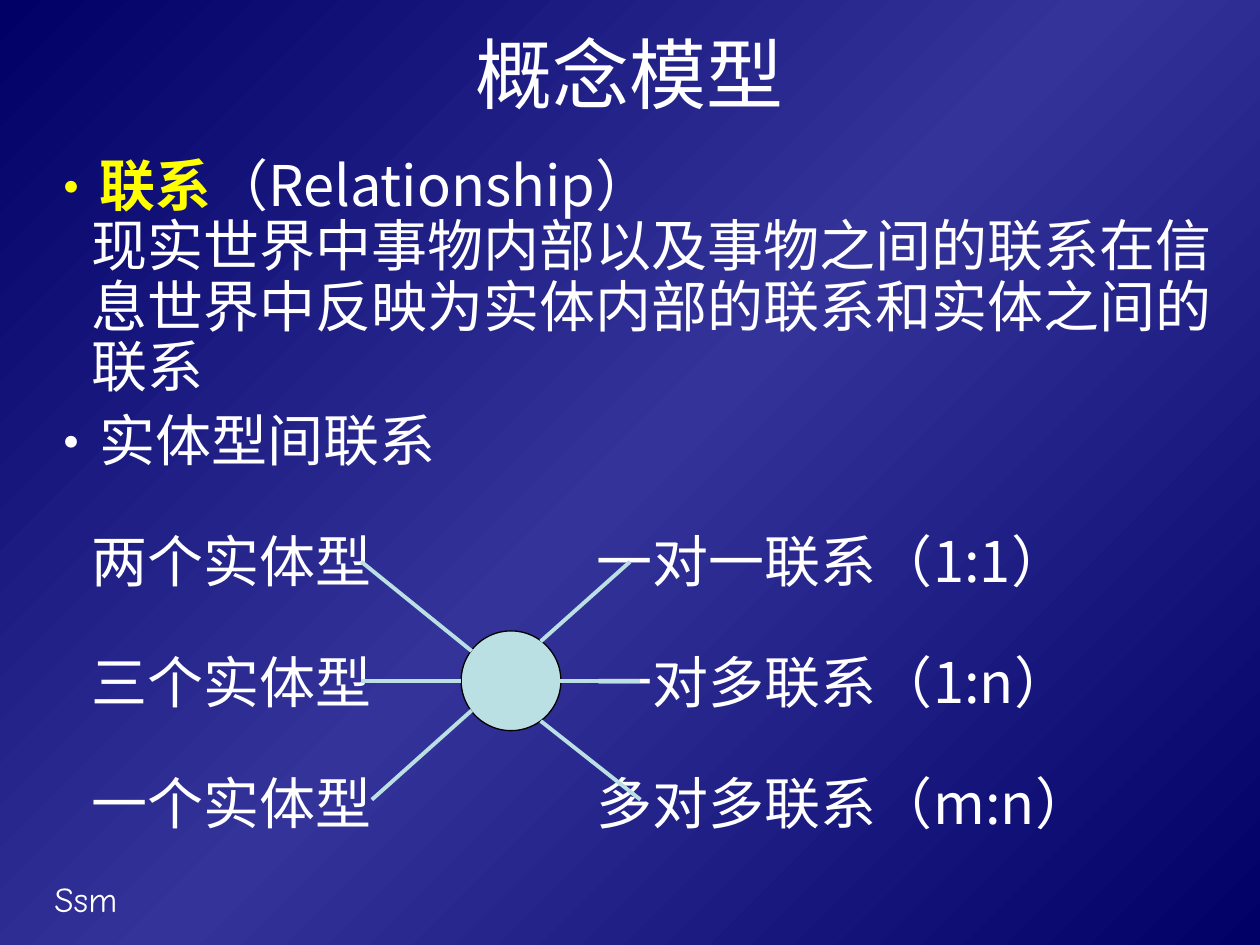
from copy import deepcopy
from lxml import etree
from pptx import Presentation
from pptx import util as u
from pptx.dml.color import RGBColor
from pptx.enum import shapes, text
from pptx.oxml import ns

Pt = u.Pt
NAVY = RGBColor(0x00, 0x00, 0x66)
INDIGO = RGBColor(0x33, 0x33, 0x99)
WHITE = RGBColor(0xFF, 0xFF, 0xFF)
YELLOW = RGBColor(0xFF, 0xFF, 0x00)
BLACK = RGBColor(0x00, 0x00, 0x00)
PALE_BLUE = RGBColor(0xBB, 0xE0, 0xE3)
SANS = "Noto Sans CJK SC"
LINE_HEIGHT = 34.6


def add_box(left, top, width, height):
    frame = slide.shapes.add_textbox(Pt(left), Pt(top), Pt(width), Pt(height)).text_frame
    frame.word_wrap = True
    return frame


def add_run(paragraph, content, size=32, color=WHITE, bold=False, font=SANS):
    run = paragraph.add_run()
    run.text = content
    run.font.size = Pt(size)
    run.font.bold = bold
    run.font.name = font
    run.font.color.rgb = color
    east_asian = etree.SubElement(run.font._element, ns.qn("a:ea"))
    east_asian.set("typeface", font)


presentation = Presentation()
presentation.slide_width = Pt(720)
presentation.slide_height = Pt(540)
slide = presentation.slides.add_slide(presentation.slide_layouts[6])

background = slide.background.fill
background.gradient()
background.gradient_angle = 315
stop_list = slide._element.find(".//" + ns.qn("a:gsLst"))
stop_list.insert(1, deepcopy(stop_list[0]))
for stop, position, color in zip(background.gradient_stops, (0, 0.5, 1), (NAVY, INDIGO, NAVY)):
    stop.position = position
    stop.color.rgb = color

footer = add_box(24, 498, 150, 32)
add_run(footer.paragraphs[0], "Ssm", size=20, font="Comic Neue")

title = add_box(36, 10, 648, 63)
title.vertical_anchor = text.MSO_ANCHOR.MIDDLE
title.paragraphs[0].alignment = text.PP_ALIGN.CENTER
add_run(title.paragraphs[0], "概念模型", size=44)

body = add_box(18, 86, 690, 190)
definition = body.paragraphs[0]
kinds = body.add_paragraph()
kinds.space_before = Pt(7.5)
for paragraph, color in ((definition, YELLOW), (kinds, WHITE)):
    paragraph.line_spacing = Pt(LINE_HEIGHT)
    properties = paragraph._p.get_or_add_pPr()
    properties.set("marL", str(Pt(27)))
    properties.set("indent", str(Pt(-27)))
    bullet_color = etree.SubElement(properties, ns.qn("a:buClr"))
    etree.SubElement(bullet_color, ns.qn("a:srgbClr")).set("val", str(color))
    etree.SubElement(properties, ns.qn("a:buFont")).set("typeface", SANS)
    etree.SubElement(properties, ns.qn("a:buChar")).set("char", "•")
add_run(definition, "联系", color=YELLOW, bold=True)
add_run(definition, "（Relationship）")
definition.add_line_break()
add_run(definition, "现实世界中事物内部以及事物之间的联系在信息世界中反映为实体内部的联系和实体之间的联系")
add_run(kinds, "实体型间联系")

relations = add_box(45, 301, 663, 190)
rows = (
    ("两个实体型", "一对一联系（1:1）"),
    ("三个实体型", "一对多联系（1:n）"),
    ("一个实体型", "多对多联系（m:n）"),
)
for index, (entities, relation) in enumerate(rows):
    paragraph = relations.add_paragraph() if index else relations.paragraphs[0]
    paragraph.line_spacing = Pt(LINE_HEIGHT)
    if index:
        paragraph.space_before = Pt(LINE_HEIGHT)
    tabs = etree.SubElement(paragraph._p.get_or_add_pPr(), ns.qn("a:tabLst"))
    tab = etree.SubElement(tabs, ns.qn("a:tab"))
    tab.set("pos", str(Pt(289)))
    tab.set("algn", "l")
    add_run(paragraph, entities + "\t" + relation)

hub = slide.shapes.add_shape(shapes.MSO_SHAPE.OVAL, Pt(263.5), Pt(360.5), Pt(57), Pt(57))
hub.shadow.inherit = False
hub.fill.solid()
hub.fill.fore_color.rgb = PALE_BLUE
hub.line.color.rgb = BLACK
hub.line.width = Pt(0.75)

spokes = (
    (206.5, 321, 269.5, 372),
    (206.5, 389, 263.5, 389),
    (212.5, 457, 269.5, 406),
    (360, 321, 309, 366.5),
    (366, 389, 315, 389),
    (366, 457, 309, 412),
)
for spoke in spokes:
    connector = slide.shapes.add_connector(shapes.MSO_CONNECTOR.STRAIGHT, *map(Pt, spoke))
    connector.line.color.rgb = PALE_BLUE
    connector.line.width = Pt(2.25)
    etree.SubElement(connector._element.spPr, ns.qn("a:effectLst"))

presentation.save("out.pptx")
